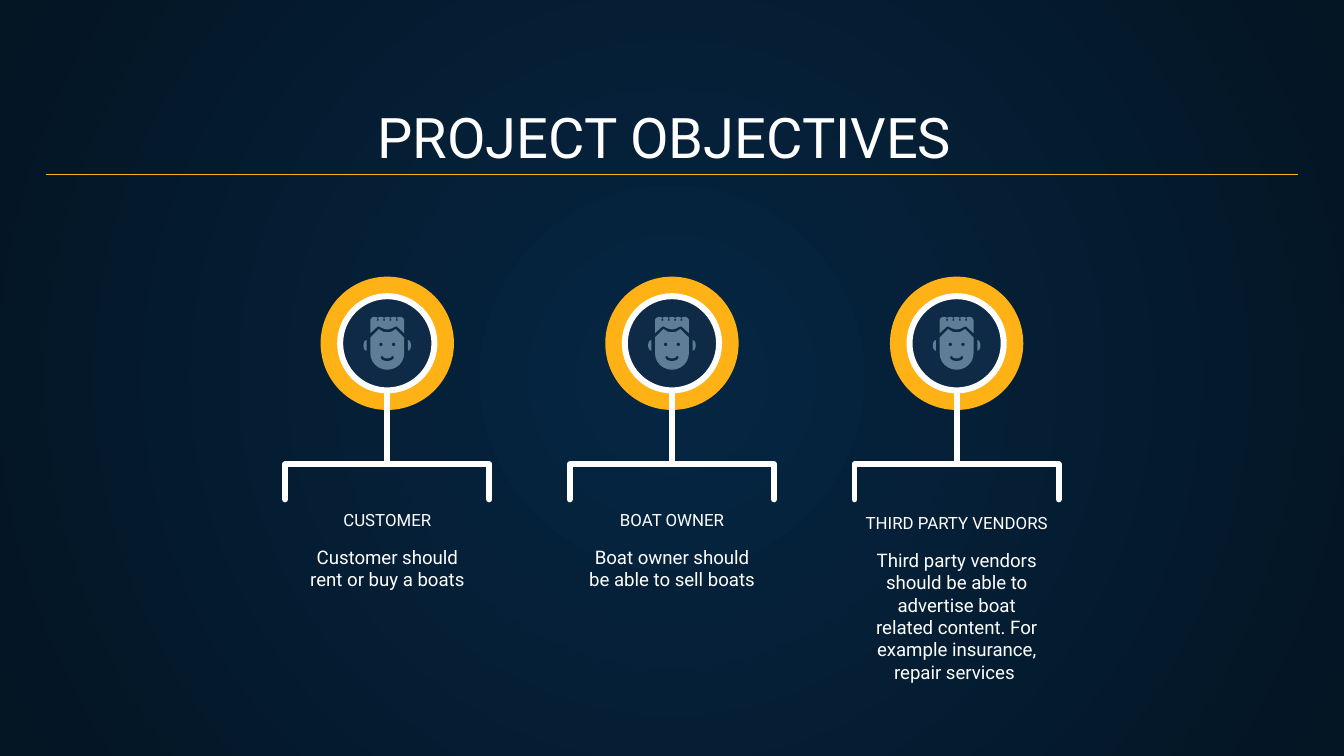
from math import cos, sin, pi
from pptx import Presentation, util as u
from pptx.dml.color import RGBColor
from pptx.enum import shapes, text
from pptx.oxml import parse_xml
from pptx.oxml.ns import qn
from lxml import etree

Cm, Pt = u.Cm, u.Pt
WHITE, GOLD, NAVY, SLATE = "FFFFFF", "FFB215", "0E2A47", "5F7D95"
OVAL = shapes.MSO_SHAPE.OVAL


def paint(shape, fill=None, line=None, width=0):
    if hasattr(shape, "fill"):
        shape.shadow.inherit = False
        if fill:
            shape.fill.solid()
            shape.fill.fore_color.rgb = RGBColor.from_string(fill)
        else:
            shape.fill.background()
    else:
        etree.SubElement(shape._element.spPr, qn("a:effectLst"))
    if line:
        shape.line.color.rgb = RGBColor.from_string(line)
        shape.line.width = Pt(width)
    else:
        shape.line.fill.background()


def write(shape, words, size, anchor):
    frame = shape.text_frame
    frame.text = words
    look = {"word_wrap": True, "auto_size": text.MSO_AUTO_SIZE.NONE, "vertical_anchor": anchor}
    for side in ("left", "right", "top", "bottom"):
        look["margin_" + side] = Cm(0.25)
    for key, val in look.items():
        setattr(frame, key, val)
    para = frame.paragraphs[0]
    para.alignment = text.PP_ALIGN.CENTER
    font = para.runs[0].font
    for key, val in {"name": "Roboto", "size": Pt(size), "bold": False}.items():
        setattr(font, key, val)
    font.color.rgb = RGBColor.from_string(WHITE)


deck = Presentation()
deck.slide_width, deck.slide_height = Cm(25.4), Cm(14.29)
slide = deck.slides.add_slide(deck.slide_layouts[5])
slide.element.cSld.insert(0, parse_xml(
    '<p:bg xmlns:p="http://schemas.openxmlformats.org/presentationml/2006/main"'
    ' xmlns:a="http://schemas.openxmlformats.org/drawingml/2006/main"><p:bgPr>'
    '<a:gradFill><a:gsLst><a:gs pos="0"><a:srgbClr val="052643"/></a:gs>'
    '<a:gs pos="100000"><a:srgbClr val="041523"/></a:gs></a:gsLst>'
    '<a:path path="circle"><a:fillToRect l="50000" t="50000" r="50000" b="50000"/></a:path>'
    '</a:gradFill><a:effectLst/></p:bgPr></p:bg>'))

TOP, BOTTOM = text.MSO_ANCHOR.TOP, text.MSO_ANCHOR.BOTTOM
title = slide.shapes.title
for key, val in {"left": 0.86, "top": 1.78, "width": 23.67, "height": 1.68}.items():
    setattr(title, key, Cm(val))
write(title, "PROJECT OBJECTIVES ", 30, BOTTOM)

STRAIGHT = shapes.MSO_CONNECTOR.STRAIGHT
rule = slide.shapes.add_connector(STRAIGHT, Cm(0.86), Cm(3.3), Cm(24.54), Cm(3.3))
paint(rule, line=GOLD, width=0.75)

arc = [k * pi / 12 for k in range(13)]
head = [(-0.32, -0.11), (-0.16, -0.27), (-0.08, -0.22), (0, -0.21), (0.08, -0.22), (0.16, -0.27),
        (0.32, -0.11)] + [(0.32 * cos(a), 0.19 + 0.31 * sin(a)) for a in arc]
hair = [(-0.32, -0.19), (-0.32, -0.42)]
for mid in (-0.24, -0.12, 0, 0.12, 0.24):
    hair += [(mid - 0.08 * cos(a), -0.43 - 0.07 * sin(a)) for a in arc]
hair += [(0.32, -0.42), (0.32, -0.19), (0.19, -0.31), (0.16, -0.32), (0.08, -0.28),
         (0, -0.26), (-0.08, -0.28), (-0.16, -0.32), (-0.19, -0.31)]
ears = [[(s * (0.39 + 0.06 * sin(a)), 0.04 - 0.1 * cos(a)) for a in arc] for s in (-1, 1)]
smile = [(-0.1 * cos(a), 0.26 + 0.05 * sin(a)) for a in arc]
brace = [(-1.93, 2.95), (-1.93, 2.29), (1.93, 2.29), (1.93, 2.95)]

items = [
    ("CUSTOMER", "Customer should rent or buy a boats", 0),
    ("BOAT OWNER", "Boat owner should be able to sell boats", 0),
    ("THIRD PARTY VENDORS", "Third party vendors should be able to advertise boat related content. "
     "For example insurance, repair services ", 0.06)]
y = 6.49
for i, (name, goal, drop) in enumerate(items):
    x = 12.7 + (i - 1) * 5.38
    disc = slide.shapes.add_shape(OVAL, Cm(x - 1.26), Cm(y - 1.26), Cm(2.52), Cm(2.52))
    paint(disc, GOLD)
    stem = slide.shapes.add_connector(STRAIGHT, Cm(x), Cm(y), Cm(x), Cm(y + 2.29))
    paint(stem, line=WHITE, width=3.2)
    ring = slide.shapes.add_shape(OVAL, Cm(x - 0.89), Cm(y - 0.89), Cm(1.78), Cm(1.78))
    paint(ring, NAVY, WHITE, 3.2)

    face = slide.shapes.add_group_shape().shapes
    parts = [(slide.shapes, brace, None, WHITE, 3.2)]
    parts += [(face, pts, SLATE, None, 0) for pts in (*ears, hair, head)]
    parts += [(face, smile, None, NAVY, 1.3)]
    for home, pts, fill, line, width in parts:
        spots = [(Cm(x + a), Cm(y + b)) for a, b in pts]
        pen = home.build_freeform(*spots[0])
        pen.add_line_segments(spots[1:], close=bool(fill))
        form = pen.convert_to_shape()
        paint(form, fill, line, width)
        if line:
            stroke = form.line._get_or_add_ln()
            stroke.set("cap", "rnd")
            etree.SubElement(stroke, qn("a:round"))
    for side in (-0.12, 0.12):
        eye = face.add_shape(OVAL, Cm(x + side - 0.03), Cm(y - 0.01), Cm(0.06), Cm(0.06))
        paint(eye, NAVY)

    label = slide.shapes.add_textbox(Cm(x - 2.88), Cm(9.73 + drop), Cm(5.76), Cm(0.53))
    write(label, name, 9, BOTTOM)
    note = slide.shapes.add_textbox(Cm(x - 1.93), Cm(10.06 + drop), Cm(3.86), Cm(1.4))
    write(note, goal, 10, TOP)

deck.save("out.pptx")
